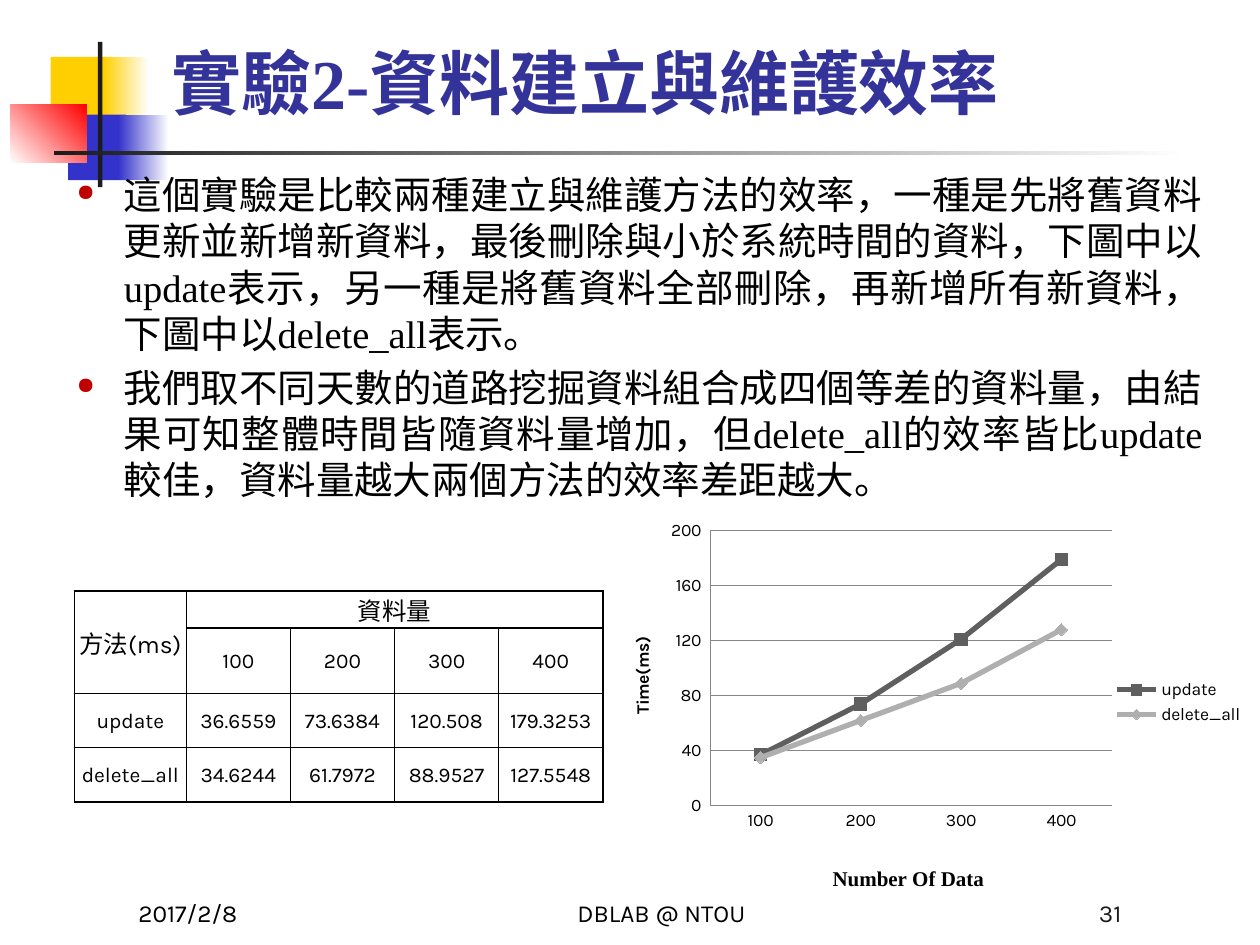
from lxml import etree
from pptx import Presentation
from pptx.chart import data as chart_data
from pptx.dml import color as dml
from pptx.enum import chart as charts, shapes, text
from pptx.oxml import ns, parse_xml
from pptx.util import Pt

SERIF = "Times New Roman"
SANS = "Karla"
BLACK = "000000"
GREY = "868686"
CENTER = text.PP_ALIGN.CENTER


def rgb(value):
    return dml.RGBColor.from_string(value)


def add_xml(parent, tag, **attributes):
    return etree.SubElement(parent, ns.qn(tag), attributes)


def style_font(font, size, name=SANS, color=BLACK, bold=False):
    font.size, font.name, font.bold = Pt(size), name, bold
    font.color.rgb = rgb(color)


def place_chart_part(element, index, **values):
    for old in element.findall(ns.qn("c:layout")):
        element.remove(old)
    layout = parse_xml(f"<c:layout {ns.nsdecls('c')}><c:manualLayout/></c:layout>")
    for tag, value in values.items():
        add_xml(layout[0], f"c:{tag}", val=str(value))
    element.insert(index, layout)


class PageBuilder:
    def __init__(self, deck):
        self.page = deck.slides.add_slide(deck.slide_layouts[5])

    def title(self, wording, left, top, width, height):
        box = self.page.shapes.title
        box.left, box.top, box.width, box.height = map(Pt, (left, top, width, height))
        frame = box.text_frame
        frame.text = wording
        frame.auto_size = text.MSO_AUTO_SIZE.NONE
        frame.vertical_anchor = text.MSO_ANCHOR.BOTTOM
        para = frame.paragraphs[0]
        para.alignment = text.PP_ALIGN.LEFT
        style_font(para.runs[0].font, 40, SERIF, "333399", True)

    def block(self, left, top, width, height, start, end=None, angle=0):
        shape = self.page.shapes.add_shape(
            shapes.MSO_SHAPE.RECTANGLE, *map(Pt, (left, top, width, height)))
        shape.shadow.inherit = False
        shape.line.fill.background()
        if end is None:
            shape.fill.solid()
            shape.fill.fore_color.rgb = rgb(start)
            return
        shape.fill.gradient()
        shape.fill.gradient_angle = angle
        for stop, position, color in zip(shape.fill.gradient_stops, (0, 1), (start, end)):
            stop.position = position
            stop.color.rgb = rgb(color)

    def text_frame(self, left, top, width, height):
        box = self.page.shapes.add_textbox(*map(Pt, (left, top, width, height)))
        box.text_frame.word_wrap = True
        return box.text_frame

    def footer(self, wording, left, width, align, color=BLACK):
        frame = self.text_frame(left, 497.5, width, 36)
        frame.vertical_anchor = text.MSO_ANCHOR.BOTTOM
        para = frame.paragraphs[0]
        para.text = wording
        para.alignment = align
        style_font(para.runs[0].font, 14, color=color)

    def bullets(self, items, left, top, width, height):
        frame = self.text_frame(left, top, width, height)
        frame.text = "\n".join(items)
        for index, para in enumerate(frame.paragraphs):
            properties = para._p.get_or_add_pPr()
            properties.set("marL", str(Pt(27)))
            properties.set("indent", str(-Pt(27)))
            add_xml(add_xml(properties, "a:buClr"), "a:srgbClr", val="C00000")
            add_xml(properties, "a:buSzPct", val="60000")
            add_xml(properties, "a:buChar", char="●")
            para.alignment = text.PP_ALIGN.JUSTIFY
            para.space_before = Pt(4.4 if index else 0)
            style_font(para.runs[0].font, 22, SERIF)

    def cell(self, cell, wording, size):
        cell.margin_left = cell.margin_top = cell.margin_right = Pt(0.72)
        cell.margin_bottom = 0
        cell.vertical_anchor = text.MSO_ANCHOR.MIDDLE
        properties = cell._tc.get_or_add_tcPr()
        for side in ("L", "R", "T", "B"):
            border = add_xml(properties, f"a:ln{side}", w=str(Pt(1)))
            add_xml(add_xml(border, "a:solidFill"), "a:srgbClr", val=BLACK)
        cell.fill.background()
        if wording:
            para = cell.text_frame.paragraphs[0]
            para.text = wording
            para.alignment = CENTER
            style_font(para.runs[0].font, size)

    def table(self, rows, left, top, widths, heights):
        table = self.page.shapes.add_table(
            len(rows), len(widths),
            *map(Pt, (left, top, sum(widths), sum(heights)))).table
        table.first_row = table.horz_banding = False
        for column, width in zip(table.columns, widths):
            column.width = Pt(width)
        for row, height in zip(table.rows, heights):
            row.height = Pt(height)
        for r, row in enumerate(rows):
            for c, wording in enumerate(row):
                self.cell(table.cell(r, c), wording, 12 if r else 14)
        table.cell(0, 0).merge(table.cell(1, 0))
        table.cell(0, 1).merge(table.cell(0, len(widths) - 1))

    def line_chart(self, categories, series, left, top, width, height):
        data = chart_data.CategoryChartData()
        data.categories = categories
        for name, values, _, _ in series:
            data.add_series(name, values)
        chart = self.page.shapes.add_chart(
            charts.XL_CHART_TYPE.LINE_MARKERS,
            *map(Pt, (left, top, width, height)), data).chart
        style_font(chart.font, 10)
        chart.has_legend = True
        chart.legend.position = charts.XL_LEGEND_POSITION.RIGHT
        chart.legend.include_in_layout = False

        chart.has_title = True
        title = chart.chart_title
        title.text_frame.text = "Number Of Data"
        style_font(title.text_frame.paragraphs[0].runs[0].font, 12, SERIF, bold=True)
        place_chart_part(title.element, 1, xMode="edge", yMode="edge", x=0.35, y=0.9)
        plot_area = chart.element.find(".//" + ns.qn("c:plotArea"))
        place_chart_part(plot_area, 0, layoutTarget="inner", xMode="edge", yMode="edge",
                         x=0.17, y=0.07, w=0.61, h=0.69)

        value_axis = chart.value_axis
        value_axis.minimum_scale, value_axis.maximum_scale = 0, 200
        value_axis.major_unit = 40
        value_axis.tick_labels.number_format = r"#,##0_);[Red]\(#,##0\)"
        value_axis.tick_labels.number_format_is_linked = False
        value_axis.major_gridlines.format.line.color.rgb = rgb(GREY)
        value_axis.axis_title.text_frame.text = "Time(ms)"
        label = value_axis.axis_title.text_frame.paragraphs[0].runs[0]
        style_font(label.font, 10, bold=True)
        for axis in (value_axis, chart.category_axis):
            axis.major_tick_mark = charts.XL_TICK_MARK.NONE
            axis.format.line.color.rgb = rgb(GREY)

        plot = chart.plots[0]
        plot.vary_by_categories = False
        for line, (_, _, color, marker) in zip(plot.series, series):
            line.smooth = False
            line.format.line.width = Pt(3)
            line.format.line.color.rgb = rgb(color)
            line.marker.style, line.marker.size = marker, 7
            line.marker.format.fill.solid()
            line.marker.format.fill.fore_color.rgb = rgb(color)
            line.marker.format.line.color.rgb = rgb(color)


def main():
    deck = Presentation()
    deck.slide_width, deck.slide_height = Pt(720), Pt(540)
    page = PageBuilder(deck)

    page.block(29, 32.5, 34.5, 37.5, "FFCF01")
    page.block(59, 32.5, 26, 37.5, "FFCF01", "FFFFFF")
    page.block(39, 65.5, 33, 37.5, "3333CC")
    page.block(67.5, 65.5, 29, 37.5, "3333CC", "FFFFFF")
    page.block(5.75, 60, 44, 33, "FFFFFF", "FF0000", 45)
    page.block(56, 24, 2.5, 83, "1C1C1C")
    page.block(31, 86.25, 648, 2.25, "1C1C1C", "FFFFFF")

    page.title("實驗2-資料建立與維護效率", 90.75, 12.25, 613.5, 62)
    page.footer("2017/2/8", 72, 150, text.PP_ALIGN.LEFT)
    page.footer("DBLAB @ NTOU", 264, 228, CENTER)
    page.footer("31", 498, 150, text.PP_ALIGN.RIGHT, "1C1C1C")

    sizes = ["100", "200", "300", "400"]
    page.table([
        ["方法(ms)", "資料量", "", "", ""],
        [""] + sizes,
        ["update", "36.6559", "73.6384", "120.508", "179.3253"],
        ["delete_all", "34.6244", "61.7972", "88.9527", "127.5548"],
    ], 42.5, 337.75, [64] + [59.5] * 4, [21, 37.5, 31, 31])
    page.line_chart(sizes, [
        ("update", (37, 74, 121, 179), "5F5F5F", charts.XL_MARKER_STYLE.SQUARE),
        ("delete_all", (35, 62, 89, 128), "AFAFAF", charts.XL_MARKER_STYLE.DIAMOND),
    ], 342, 287.25, 376, 228)
    page.bullets([
        "這個實驗是比較兩種建立與維護方法的效率，一種是先將舊資料更新並新增新資料，"
        "最後刪除與小於系統時間的資料，下圖中以update表示，另一種是將舊資料全部刪除，"
        "再新增所有新資料，下圖中以delete_all表示。",
        "我們取不同天數的道路挖掘資料組合成四個等差的資料量，由結果可知整體時間皆隨"
        "資料量增加，但delete_all的效率皆比update較佳，資料量越大兩個方法的效率差距越大。",
    ], 36.75, 94.25, 657.5, 402.5)

    deck.save("out.pptx")


if __name__ == "__main__":
    main()
